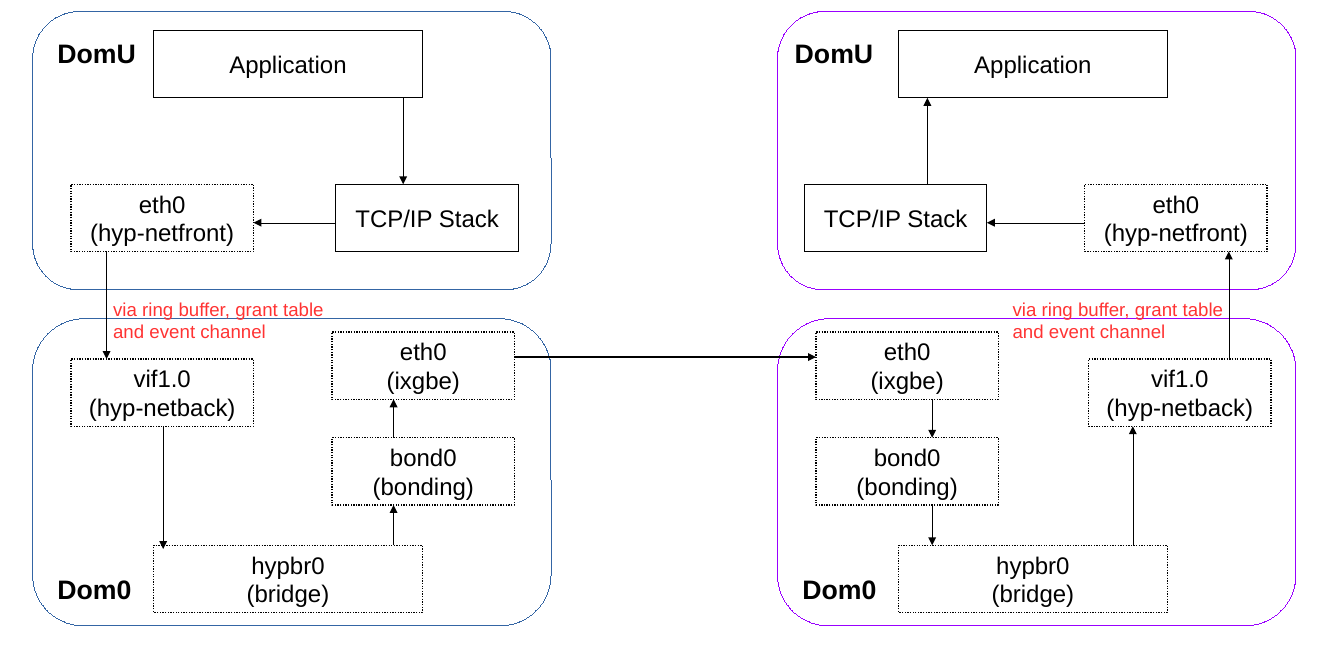
from dataclasses import dataclass

from lxml.etree import SubElement
from pptx import Presentation
from pptx.dml.color import RGBColor
from pptx.enum.dml import MSO_LINE
from pptx.enum.shapes import MSO_CONNECTOR, MSO_SHAPE
from pptx.enum.text import MSO_ANCHOR, MSO_AUTO_SIZE, PP_ALIGN
from pptx.oxml.ns import qn
from pptx.util import Inches, Pt

COLORS = {
    "paper": "FFFFFF",
    "ink": "000000",
    "note": "FF3333",
    "sender": "3465A4",
    "receiver": "9900FF",
}
BOX_HEIGHT = 0.7
NARROW = 1.9
WIDE = 2.8
WIDE_LEFT = 1.26
HOST_WIDTH = 5.4
GUEST_TOP, GUEST_HEIGHT = 0.12, 2.9
CONTROL_TOP, CONTROL_HEIGHT = 3.32, 3.2
NIC_TOP, NETBACK_TOP, BOND_TOP, BRIDGE_TOP = 0.14, 0.42, 1.24, 2.36
WIRE_TOP = CONTROL_TOP + 0.4


@dataclass
class Host:
    left: float
    color: str
    sends: bool
    stack: float
    netfront: float
    netback: float
    nic: float
    app_arrow: float
    ring_arrow: float
    bridge_arrow: float
    bridge_end: float
    bond_arrow: float
    note: float
    guest_title: float


SENDER = Host(
    left=0.34, color="sender", sends=True,
    stack=3.16, netfront=0.4, netback=0.4, nic=3.12,
    app_arrow=3.86, ring_arrow=0.77, bridge_arrow=1.36, bridge_end=2.4,
    bond_arrow=3.76, note=0.74, guest_title=0.16,
)
RECEIVER = Host(
    left=8.1, color="receiver", sends=False,
    stack=0.28, netfront=3.2, netback=3.24, nic=0.4,
    app_arrow=1.56, ring_arrow=4.7, bridge_arrow=3.7, bridge_end=2.36,
    bond_arrow=1.61, note=2.35, guest_title=0.08,
)


def color(name):
    return RGBColor.from_string(COLORS[name])


def write(box, lines, size, ink="ink", bold=False, align=PP_ALIGN.LEFT):
    frame = box.text_frame
    for index, line in enumerate(lines):
        para = frame.add_paragraph() if index else frame.paragraphs[0]
        para.alignment = align
        span = para.add_run()
        span.text = line
        span.font.name = "Arial"
        span.font.size = Pt(size)
        span.font.bold = bold
        span.font.color.rgb = color(ink)


def set_line(shape, ink, weight):
    shape.line.color.rgb = color(ink)
    outline = shape._element.spPr.find(qn("a:ln"))
    outline.set("w", str(Pt(weight)))
    return outline


def add_panel(page, kind, area, line, weight=0):
    panel = page.shapes.add_shape(kind, *map(Inches, area))
    panel.shadow.inherit = False
    panel.fill.solid()
    panel.fill.fore_color.rgb = color("paper")
    set_line(panel, line, weight)
    return panel


def add_box(page, left, top, width, lines, dashed=True):
    area = (left, top, width, BOX_HEIGHT)
    box = add_panel(page, MSO_SHAPE.RECTANGLE, area, "ink", 1 if dashed else 0)
    if dashed:
        box.line.dash_style = MSO_LINE.ROUND_DOT
    frame = box.text_frame
    frame.word_wrap = False
    frame.vertical_anchor = MSO_ANCHOR.MIDDLE
    frame.margin_left = frame.margin_right = Inches(0.11 if dashed else 0.1)
    frame.margin_top = frame.margin_bottom = Inches(0.06 if dashed else 0.05)
    write(box, lines, 18, align=PP_ALIGN.CENTER)


def add_label(page, area, lines, size, ink="ink", bold=False, wrap=True):
    label = page.shapes.add_textbox(*map(Inches, area))
    label.text_frame.word_wrap = wrap
    label.text_frame.auto_size = MSO_AUTO_SIZE.SHAPE_TO_FIT_TEXT
    write(label, lines, size, ink, bold)


def add_arrow(page, start, end, weight=0):
    arrow = page.shapes.add_connector(
        MSO_CONNECTOR.STRAIGHT, *map(Inches, (*start, *end))
    )
    outline = set_line(arrow, "ink", weight)
    SubElement(outline, qn("a:tailEnd"), type="triangle")
    SubElement(arrow._element.spPr, qn("a:effectLst"))


def add_flow(page, host, column, upper, lower):
    ends = [(host.left + column, upper), (host.left + column, lower)]
    add_arrow(page, *(ends if host.sends else reversed(ends)))


def add_frame(page, host, top, height):
    area = (host.left, top, HOST_WIDTH, height)
    frame = add_panel(page, MSO_SHAPE.ROUNDED_RECTANGLE, area, host.color)
    frame.adjustments[0] = 0.167


def add_guest(page, host, top):
    left = host.left
    app_top, stack_top = top + 0.2, top + 1.8
    add_frame(page, host, top, GUEST_HEIGHT)
    add_box(page, left + WIDE_LEFT, app_top, WIDE, ["Application"], dashed=False)
    add_box(page, left + host.stack, stack_top, NARROW, ["TCP/IP Stack"], dashed=False)
    add_box(page, left + host.netfront, stack_top, NARROW, ["eth0", "(hyp-netfront)"])
    add_flow(page, host, host.app_arrow, app_top + BOX_HEIGHT, stack_top)
    first, second = sorted((host.stack, host.netfront))
    row = stack_top + 0.4
    add_arrow(page, (left + second, row), (left + first + NARROW, row))
    area = (left + host.guest_title, top + 0.21, 1.1, 0.41)
    add_label(page, area, ["DomU"], 20, bold=True)


def add_control(page, host, top):
    left = host.left
    nic, netback = top + NIC_TOP, top + NETBACK_TOP
    bond, bridge = top + BOND_TOP, top + BRIDGE_TOP
    add_frame(page, host, top, CONTROL_HEIGHT)
    add_box(page, left + host.netback, netback, NARROW, ["vif1.0", "(hyp-netback)"])
    add_box(page, left + WIDE_LEFT, bridge, WIDE, ["hypbr0", "(bridge)"])
    add_box(page, left + host.nic, bond, NARROW, ["bond0", "(bonding)"])
    add_box(page, left + host.nic, nic, NARROW, ["eth0", "(ixgbe)"])
    add_flow(page, host, host.bridge_arrow, netback + BOX_HEIGHT, top + host.bridge_end)
    add_flow(page, host, host.bond_arrow, *sorted((bridge, bond + BOX_HEIGHT), reverse=True))
    add_flow(page, host, host.bond_arrow, bond, nic + BOX_HEIGHT)
    add_label(page, (left + 0.16, top + 2.6, 0.97, 0.41), ["Dom0"], 20, bold=True)


def add_ring(page, host, top):
    add_flow(page, host, host.ring_arrow, top - 0.7, top + NETBACK_TOP)
    lines = ["via ring buffer, grant table", "and event channel"]
    area = (host.left + host.note, top - 0.27, 2.4, 0.54)
    add_label(page, area, lines, 14, "note", wrap=False)


def add_host(page, host):
    add_control(page, host, CONTROL_TOP)
    add_guest(page, host, GUEST_TOP)
    add_ring(page, host, CONTROL_TOP)


def main():
    deck = Presentation()
    deck.slide_width, deck.slide_height = Inches(14), Inches(7)
    page = deck.slides.add_slide(deck.slide_layouts[6])
    for host in (SENDER, RECEIVER):
        add_host(page, host)
    wire_start = (SENDER.left + SENDER.nic + NARROW, WIRE_TOP)
    wire_end = (RECEIVER.left + RECEIVER.nic, WIRE_TOP)
    add_arrow(page, wire_start, wire_end, 1.5)
    deck.save("out.pptx")


if __name__ == "__main__":
    main()
